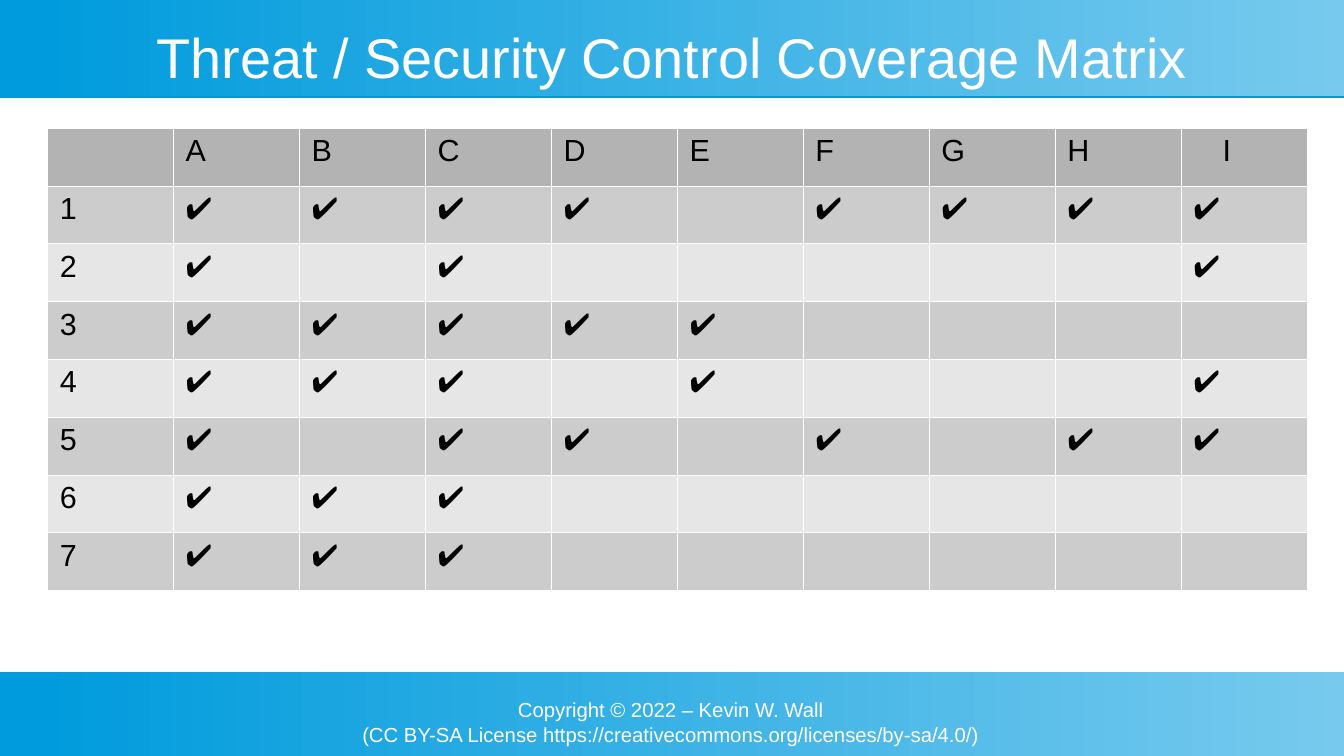
from dataclasses import dataclass
from typing import Any

from lxml import etree
from pptx import Presentation, util as u
from pptx.dml.color import RGBColor
from pptx.enum import shapes, text
from pptx.oxml import ns

WIDE, HIGH = u.Inches(11.02), u.Inches(6.2)
FONT = "Arial"
HUES = {"deep": "009BDD", "pale": "77CAEE", "white": "FFFFFF", "ink": "000000",
        "head": "B3B3B3", "odd": "CCCCCC", "even": "E6E6E6"}
FRAME = {"margin_left": 0, "margin_right": 0, "margin_top": 0,
         "margin_bottom": 0, "word_wrap": True}
PLAIN = {"first_row": False, "horz_banding": False}
INSET = {"margin_left": u.Inches(0.1), "margin_right": u.Inches(0.1),
         "margin_top": u.Inches(0.05), "margin_bottom": u.Inches(0.05)}
TICK = "✔️"
HEADS = "ABCDEFGHI"
MARKS = ["ABCDFGHI", "ACI", "ABCDE", "ABCEI", "ACDFHI", "ABC", "ABC"]


@dataclass
class Area:
    """Place and size in hundredths of the slide."""
    x: float
    y: float
    w: float
    h: float

    def box(self) -> tuple[int, int, int, int]:
        return (round(self.x * WIDE / 100), round(self.y * HIGH / 100),
                round(self.w * WIDE / 100), round(self.h * HIGH / 100))


@dataclass
class Label:
    area: Area
    lines: list[str]
    size: int
    anchor: Any


BANDS = [Area(0, 0, 100, 12.74), Area(0, 88.87, 100, 11.13)]
LABELS = [
    Label(Area(22.69, 92.26, 54.45, 6.94),
          ["Copyright © 2022 – Kevin W. Wall",
           "(CC BY-SA License https://creativecommons.org/licenses/by-sa/4.0/)"],
          12, text.MSO_ANCHOR.TOP),
    Label(Area(3.54, 3.23, 92.92, 8.39),
          ["Threat / Security Control Coverage Matrix"],
          33, text.MSO_ANCHOR.MIDDLE),
]
MATRIX = Area(3.54, 16.94, 93.74, 61.13)


def hue(name: str) -> RGBColor:
    return RGBColor.from_string(HUES[name])


def apply(item: Any, form: dict[str, Any]) -> None:
    for key, value in form.items():
        setattr(item, key, value)


def style(para: Any, size: int, name: str) -> None:
    apply(para.font, {"name": FONT, "size": u.Pt(size), "bold": False})
    para.font.color.rgb = hue(name)


def tint(parent: Any, name: str) -> None:
    etree.SubElement(parent, ns.qn("a:srgbClr"), val=HUES[name])


def band(slide: Any, area: Area) -> None:
    shape = slide.shapes.add_shape(shapes.MSO_SHAPE.RECTANGLE, *area.box())
    shape.line.fill.background()
    shape.fill.gradient()
    shape.fill.gradient_angle = 0
    for stop, name, place in zip(shape.fill.gradient_stops, ("deep", "pale"), (0.03, 1)):
        stop.color.rgb = hue(name)
        stop.position = place
    shape.shadow.inherit = False
    effects = shape.element.spPr.find(ns.qn("a:effectLst"))
    drop = etree.SubElement(effects, ns.qn("a:outerShdw"), blurRad="0",
                            dist=str(u.Pt(0.9)), dir="5400000", rotWithShape="0")
    tint(drop, "deep")


def write(slide: Any, label: Label) -> None:
    frame = slide.shapes.add_textbox(*label.area.box()).text_frame
    apply(frame, {**FRAME, "vertical_anchor": label.anchor})
    frame.text = "\n".join(label.lines)
    for para in frame.paragraphs:
        para.alignment = text.PP_ALIGN.CENTER
        style(para, label.size, "white")


def edge(cell: Any) -> None:
    """Give the cell a hairline border on all four sides."""
    props = cell._tc.get_or_add_tcPr()
    for place, side in enumerate(("lnL", "lnR", "lnT", "lnB")):
        line = etree.Element(ns.qn(f"a:{side}"), w=str(u.Pt(0.06)))
        tint(etree.SubElement(line, ns.qn("a:solidFill")), "white")
        props.insert(place, line)


def matrix(slide: Any) -> None:
    rows = [["", *HEADS]]
    for num, marks in enumerate(MARKS, 1):
        rows.append([str(num), *(TICK if head in marks else "" for head in HEADS)])
    table = slide.shapes.add_table(len(rows), len(rows[0]), *MATRIX.box()).table
    apply(table, PLAIN)
    for r, row in enumerate(rows):
        shade = "head" if r == 0 else "odd" if r % 2 else "even"
        for c, word in enumerate(row):
            cell = table.cell(r, c)
            apply(cell, {**INSET, "text": word})
            cell.fill.solid()
            cell.fill.fore_color.rgb = hue(shade)
            style(cell.text_frame.paragraphs[0], 18, "ink")
            edge(cell)
    last = table.cell(0, len(HEADS)).text_frame.paragraphs[0]
    last._p.get_or_add_pPr().set("marL", str(u.Inches(0.24)))


def main() -> None:
    deck = Presentation()
    apply(deck, {"slide_width": WIDE, "slide_height": HIGH})
    slide = deck.slides.add_slide(deck.slide_layouts[6])
    for area in BANDS:
        band(slide, area)
    for label in LABELS:
        write(slide, label)
    matrix(slide)
    deck.save("out.pptx")


if __name__ == "__main__":
    main()
